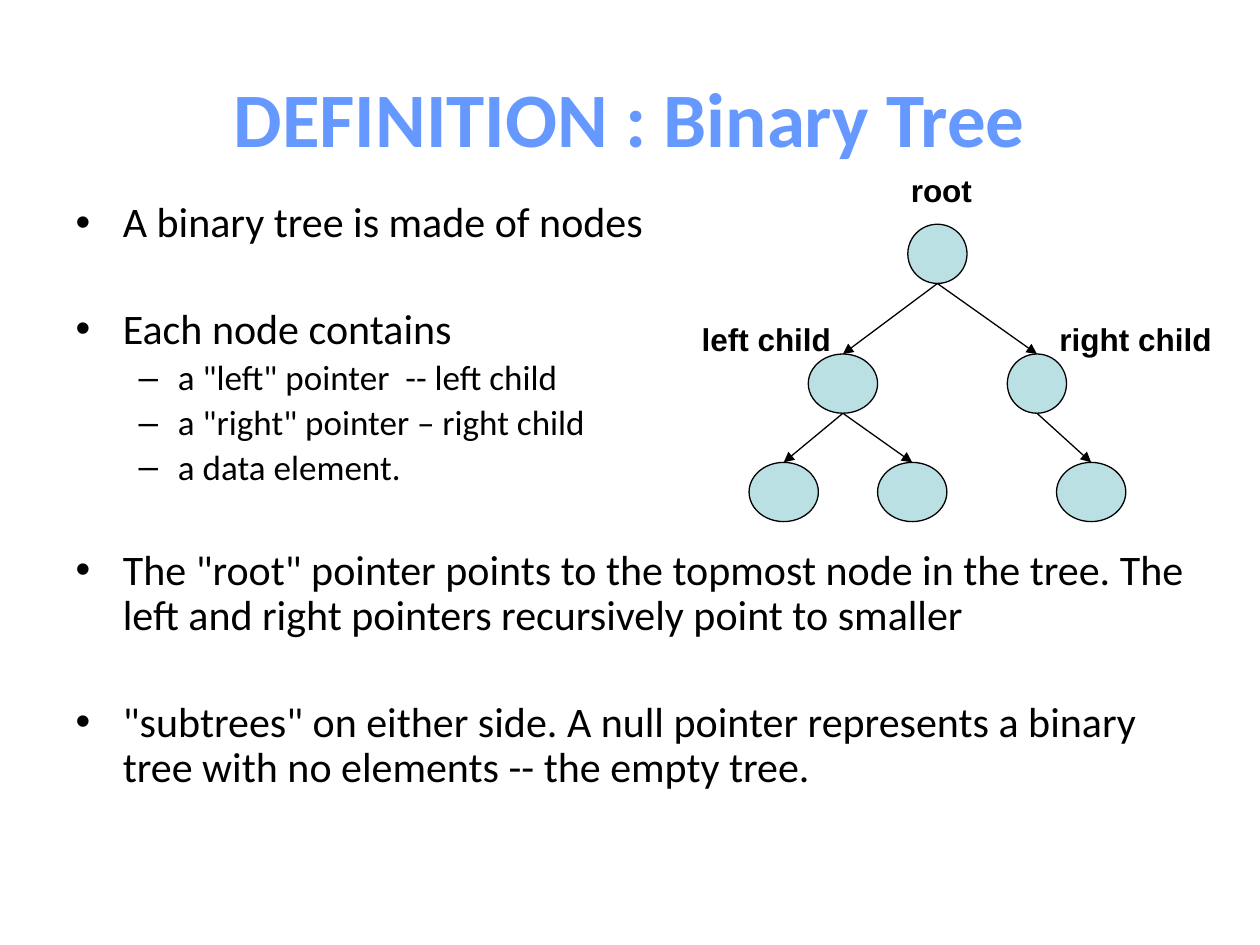
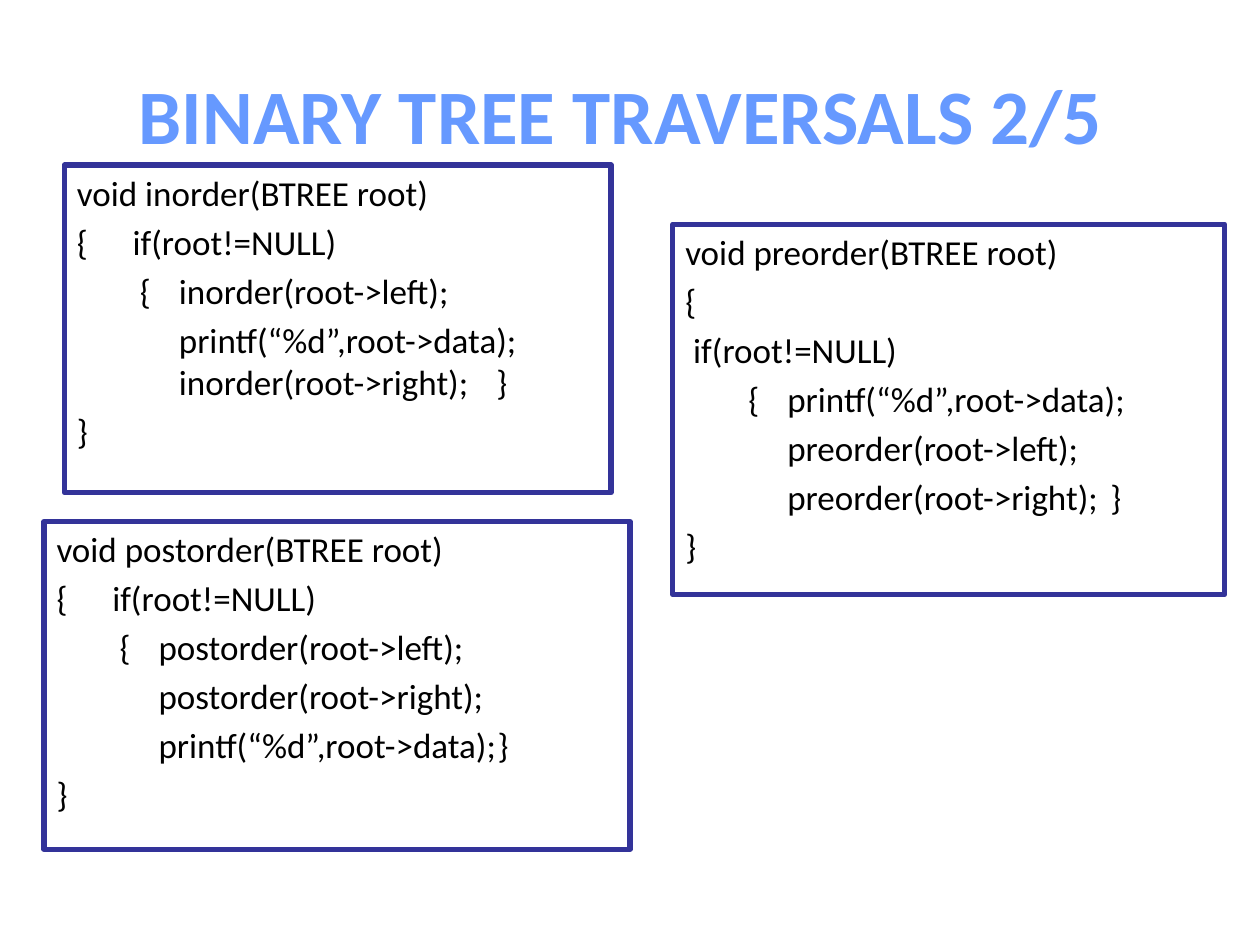
from lxml import etree
from pptx import Presentation, util as u
from pptx.dml.color import RGBColor
from pptx.enum import shapes, text
from pptx.oxml.ns import qn

# Shared look
TITLE_BLUE = RGBColor(0x66, 0x99, 0xFF)
FRAME_BLUE = RGBColor(0x33, 0x33, 0x99)
NODE_TEAL = RGBColor(0xBB, 0xE0, 0xE3)
BLACK = RGBColor(0, 0, 0)
TITLE_AREA = (0.5, 0.3, 9, 1.25)

# Definition slide: (level, text, size, space before)
DEFINITION = [
    (0, "A binary tree is made of nodes", 24, 5),
    (0, "Each node contains", 24, 35),
    (1, 'a "left" pointer  -- left child', 20, 4),
    (1, 'a "right" pointer – right child', 20, 4),
    (1, "a data element.", 20, 4),
    (0, 'The "root" pointer points to the topmost node in the tree. The left '
        "and right pointers recursively point to smaller", 24, 35),
    (0, '"subtrees" on either side. A null pointer represents a binary tree '
        "with no elements -- the empty tree.", 24, 35),
]
# Tree node: centre x, row, width, parent
NARROW, WIDE = 0.47, 0.55
TREE = {
    "root": (7.44, 0, NARROW, None),
    "left": (6.69, 1, WIDE, "root"),
    "right": (8.23, 1, NARROW, "root"),
    "left.left": (6.22, 2, WIDE, "left"),
    "left.right": (7.24, 2, WIDE, "left"),
    "right.right": (8.66, 2, WIDE, "right"),
}
ROW_TOPS = (1.78, 2.81, 3.67)
NODE_HEIGHT = 0.47
LABELS = [("right child", (8.31, 2.49, 1.42, 0.4)),
          ("left child", (5.47, 2.49, 1.42, 0.4)),
          ("root", (7.13, 1.31, 0.79, 0.4))]

# Traversal slide: area, tab stop of the closing brace, (kind, code line)
INDENTS = {"outer": (0.38, -0.38), "block": (0.81, -0.31),
           "call": (0, 0.81), "next call": (0, 0.81)}
PRINT = "printf(“%d”,root->data);"
TRAVERSALS = [
    ((0.51, 1.31, 4.34, 2.6), 3.74, [
        ("outer", "void inorder(BTREE root)"),
        ("outer", "{\t if(root!=NULL)"),
        ("block", "{\tinorder(root->left);"),
        ("call", PRINT),
        ("next call", "inorder(root->right);\t}"),
        ("outer", "}")]),
    ((5.34, 1.78, 4.38, 2.94), 3.91, [
        ("outer", "void preorder(BTREE root)"),
        ("outer", "{"),
        ("outer", " if(root!=NULL)"),
        ("block", "{\t" + PRINT),
        ("call", "preorder(root->left);"),
        ("call", "preorder(root->right);\t}"),
        ("outer", "}")]),
    ((0.35, 4.14, 4.65, 2.6), 3.62, [
        ("outer", "void postorder(BTREE root)"),
        ("outer", "{\t if(root!=NULL)"),
        ("block", "{\tpostorder(root->left);"),
        ("call", "postorder(root->right);"),
        ("call", PRINT + "\t}"),
        ("outer", "}")]),
]


def place(shape, area):
    shape.left, shape.top, shape.width, shape.height = map(u.Inches, area)


def prepare(shape, anchor=text.MSO_ANCHOR.TOP):
    frame = shape.text_frame
    frame.word_wrap = True
    frame.auto_size = text.MSO_AUTO_SIZE.NONE
    frame.vertical_anchor = anchor
    return frame


def write(frame, words, size=20, font="Calibri", color=BLACK, bold=False,
          align=None, level=0, before=0, spacing=None):
    """Fill the first empty paragraph of a frame, or add one."""
    line = frame.paragraphs[-1]
    if line.text:
        line = frame.add_paragraph()
    line.text, line.level = words, level
    line.alignment, line.line_spacing = align, spacing
    line.space_before = u.Pt(before)
    for run in line.runs:
        run.font.size, run.font.name = u.Pt(size), font
        run.font.bold, run.font.color.rgb = bold, color
    return line


def add_titled_slide(title):
    slide = prs.slides.add_slide(prs.slide_layouts[1])
    place(slide.shapes.title, TITLE_AREA)
    write(prepare(slide.shapes.title, text.MSO_ANCHOR.MIDDLE), title, size=44,
          color=TITLE_BLUE, bold=True, align=text.PP_ALIGN.CENTER)
    return slide, slide.placeholders[1]


def add_node(slide, center, row, width):
    node = slide.shapes.add_shape(shapes.MSO_SHAPE.OVAL, 0, 0, 0, 0)
    place(node, (center - width / 2, ROW_TOPS[row], width, NODE_HEIGHT))
    node.shadow.inherit = False
    node.fill.solid()
    node.fill.fore_color.rgb = NODE_TEAL
    node.line.color.rgb, node.line.width = BLACK, u.Pt(0.75)


def add_pointer(slide, parent, child):
    ends = (parent[0], ROW_TOPS[parent[1]] + NODE_HEIGHT,
            child[0], ROW_TOPS[child[1]])
    pointer = slide.shapes.add_connector(
        shapes.MSO_CONNECTOR.STRAIGHT, *map(u.Inches, ends))
    pointer.line.color.rgb, pointer.line.width = BLACK, u.Pt(0.75)
    etree.SubElement(pointer.line._get_or_add_ln(), qn("a:tailEnd"), type="triangle")
    etree.SubElement(pointer._element.spPr, qn("a:effectLst"))


def write_code(box, area, brace_tab, lines):
    place(box, area)
    box.line.color.rgb, box.line.width = FRAME_BLUE, u.Pt(3)
    frame = prepare(box)
    for kind, code in lines:
        line = write(frame, code, before=0 if kind == "next call" else 4,
                     level=0 if kind == "outer" else 1)
        props = line._p.get_or_add_pPr()
        margin, indent = INDENTS[kind]
        props.set("marL", str(u.Inches(margin)))
        props.set("indent", str(u.Inches(indent)))
        etree.SubElement(props, qn("a:buNone"))
        if code.endswith("\t}"):
            stops = etree.SubElement(props, qn("a:tabLst"))
            etree.SubElement(stops, qn("a:tab"), pos=str(u.Inches(brace_tab)), algn="l")


prs = Presentation()
prs.slide_width, prs.slide_height = u.Inches(10), u.Inches(7.5)

# Definition with tree diagram
slide, body = add_titled_slide("DEFINITION : Binary Tree")
place(body, (0.5, 1.55, 9, 5.15))
frame = prepare(body)
for level, words, size, before in DEFINITION:
    write(frame, words, size=size, level=level, before=before, spacing=0.9)
for center, row, width, parent in TREE.values():
    add_node(slide, center, row, width)
for child in TREE.values():
    if child[3]:
        add_pointer(slide, TREE[child[3]], child)
for words, area in LABELS:
    label = slide.shapes.add_textbox(*map(u.Inches, area))
    write(prepare(label), words, size=18, font="Arial", bold=True)

# Traversal code boxes: the first uses the body placeholder
slide, body = add_titled_slide("BINARY TREE TRAVERSALS 2/5")
place(slide.shapes.title, (0.43, 0.28, 9, 1.25))
for number, (area, brace_tab, lines) in enumerate(TRAVERSALS):
    box = slide.shapes.add_textbox(0, 0, 0, 0) if number else body
    write_code(box, area, brace_tab, lines)

prs.save("out.pptx")
